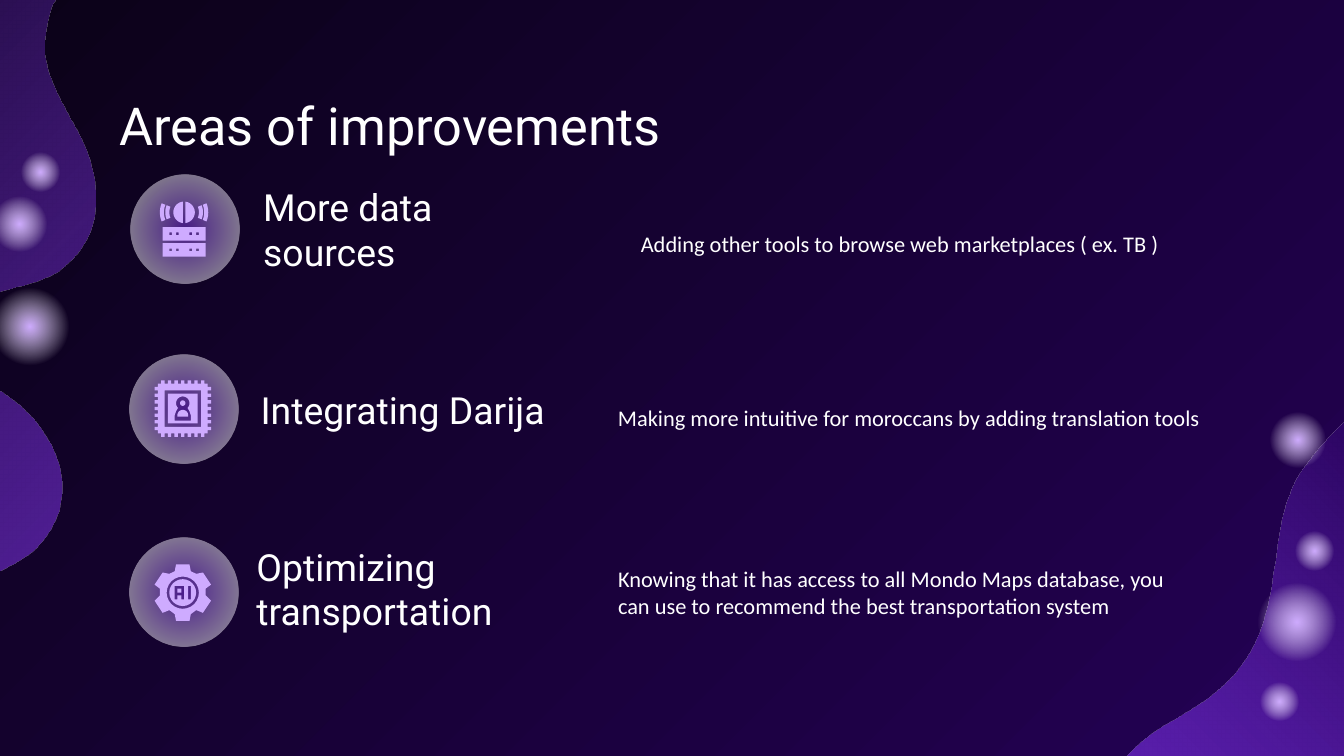
import math

from lxml import etree
from pptx import Presentation
from pptx import util as u
from pptx.dml.color import RGBColor
from pptx.enum import shapes, text
from pptx.oxml.ns import qn

NIGHT = RGBColor(0x0B, 0x02, 0x18)
INDIGO = RGBColor(0x24, 0x01, 0x55)
VIOLET = RGBColor(0x81, 0x34, 0xEC)
LILAC = RGBColor(0xCE, 0xAB, 0xFF)
WHITE = RGBColor(0xFF, 0xFF, 0xFF)


def paint_gradient(owner, fill, stops, angle=None):
    """Fill with (position %, colour, opacity %) stops; radial without an angle."""
    fill.gradient()
    gradient = owner.element.xpath(".//a:gradFill")[0]
    for child in list(gradient):
        gradient.remove(child)
    gradient.set("rotWithShape", "1")
    stop_list = etree.SubElement(gradient, qn("a:gsLst"))
    for position, color, opacity in stops:
        stop = etree.SubElement(stop_list, qn("a:gs"), pos=str(position * 1000))
        shade = etree.SubElement(stop, qn("a:srgbClr"), val=str(color))
        if opacity < 100:
            etree.SubElement(shade, qn("a:alpha"), val=str(opacity * 1000))
    if angle is None:
        radial = etree.SubElement(gradient, qn("a:path"), path="circle")
        middle = dict.fromkeys("ltrb", "50000")
        etree.SubElement(radial, qn("a:fillToRect"), **middle)
    else:
        etree.SubElement(gradient, qn("a:lin"), ang=str(angle * 60000), scaled="0")


def arc(x, y, radius, start, end):
    """Points on a circle, in degrees clockwise from the right."""
    angles = [math.radians(start + (end - start) * i / 24) for i in range(25)]
    return [(x + radius * math.cos(a), y + radius * math.sin(a)) for a in angles]


deck = Presentation()
deck.slide_width = u.Inches(10)
deck.slide_height = u.Inches(10 * 9 / 16)
page = deck.slides.add_slide(deck.slide_layouts[5])
paint_gradient(page, page.background.fill, [(0, NIGHT, 100), (100, INDIGO, 100)], 45)

# Corner waves: start point, cubic curves, closing corners, gradient
waves = [
    ((0.38, 0.05),
     [(0.35, 0.15, 0.32, 0.29, 0.33, 0.4), (0.35, 0.57, 0.44, 0.73, 0.52, 0.88),
      (0.58, 0.99, 0.64, 1.09, 0.67, 1.21), (0.76, 1.5, 0.71, 1.78, 0.49, 1.97),
      (0.28, 2.17, -0.06, 2.09, -0.26, 2.34), (-0.48, 2.62, -0.1, 2.83, 0.09, 2.97),
      (0.31, 3.13, 0.51, 3.45, 0.45, 3.73), (0.43, 3.87, 0.34, 4.01, 0.24, 4.1),
      (0.12, 4.2, -0.02, 4.24, -0.13, 4.33), (-0.24, 4.41, -0.36, 4.55, -0.37, 4.7),
      (-0.39, 4.85, -0.34, 5.01, -0.32, 5.16), (-0.22, 5.78, -0.39, 6.46, -0.85, 6.86),
      (-0.91, 6.91, -1, 6.98, -1.07, 7)],
     [(-3.04, 0.63), (0.64, -0.4)],
     [(0, NIGHT, 100), (100, VIOLET, 70)], 45),
    ((10.4, 6.74),
     [(10.4, 6.37, 10.39, 5.99, 10.41, 5.62), (10.44, 5.23, 10.49, 4.85, 10.49, 4.45),
      (10.49, 4.17, 10.47, 3.89, 10.47, 3.61), (10.47, 3.47, 10.53, 3.06, 10.37, 2.98),
      (10.18, 2.89, 9.82, 3.32, 9.73, 3.44), (9.55, 3.67, 9.53, 3.9, 9.49, 4.17),
      (9.45, 4.46, 9.41, 4.72, 9.23, 4.96), (9.08, 5.16, 8.86, 5.28, 8.64, 5.41),
      (8.43, 5.54, 8.26, 5.74, 8.14, 5.97), (8.04, 6.17, 7.92, 6.45, 7.91, 6.67),
      (8.06, 6.7, 8.22, 6.68, 8.37, 6.68), (8.53, 6.69, 8.68, 6.74, 8.83, 6.74)],
     [],
     [(0, VIOLET, 70), (100, INDIGO, 100)], 315),
]
for start, curves, corners, stops, angle in waves:
    points = [start]
    for x1, y1, x2, y2, x3, y3 in curves:
        x0, y0 = points[-1]
        for step in range(1, 13):
            t = step / 12
            a, b, c, d = (1 - t) ** 3, 3 * t * (1 - t) ** 2, 3 * t * t * (1 - t), t ** 3
            points.append((a * x0 + b * x1 + c * x2 + d * x3,
                           a * y0 + b * y1 + c * y2 + d * y3))
    points = [(u.Inches(x), u.Inches(y)) for x, y in points + corners]
    builder = page.shapes.build_freeform(*points[0])
    builder.add_line_segments(points[1:])
    wave = builder.convert_to_shape()
    wave.shadow.inherit = False
    wave.line.fill.background()
    paint_gradient(wave, wave.fill, stops, angle)

# Glowing dots, then the discs behind the icons
glow = [(0, LILAC, 100), (57, WHITE, 0), (100, WHITE, 0)]
halo = [(0, VIOLET, 49), (77, WHITE, 49), (100, WHITE, 49)]
discs = [
    (9.29, 4.27, 0.72, glow), (9.6, 3.92, 0.36, glow), (9.34, 5.04, 0.36, glow),
    (9.4, 3.02, 0.51, glow), (-0.11, 1.41, 0.51, glow), (-0.14, 2.07, 0.72, glow),
    (0.12, 1.1, 0.36, glow),
    (0.97, 1.3, 0.81, halo), (0.96, 2.64, 0.81, halo), (0.96, 4, 0.81, halo),
]
for left, top, size, stops in discs:
    disc = page.shapes.add_shape(shapes.MSO_SHAPE.OVAL, u.Inches(left), u.Inches(top),
                                 u.Inches(size), u.Inches(size))
    disc.shadow.inherit = False
    disc.line.fill.background()
    paint_gradient(disc, disc.fill, stops)

# Icons: each part is (rectangles, outlines); a contour inside another is a hole
server = [([], [arc(1.37, 1.58, 0.08, side - 83, side + 83)]) for side in (0, 180)]
for side in (0, 180):
    for radius in (0.14, 0.18):
        server.append(([], [arc(1.37, 1.58, radius, side - 22, side + 22)
                            + arc(1.37, 1.58, radius - 0.03, side + 22, side - 22)]))
for top in (1.69, 1.81):
    lights = [(x, top + 0.04, x + 0.02, top + 0.06) for x in (1.26, 1.31, 1.41, 1.46)]
    server.append(([(1.21, top, 1.53, top + 0.1)] + lights, []))

# The chip sits on a grid of 17 by 17 cells
cells = [(1, 1, 16, 16), (3, 3, 14, 14), (4, 4, 13, 13)]
for pin in range(2, 15, 2):
    for edge in (0, 16):
        cells += [(pin, edge, pin + 1, edge + 1), (edge, pin, edge + 1, pin + 1)]
cell = 0.42 / 17
chip_boxes = [(1.15 + a * cell, 2.83 + b * cell, 1.15 + c * cell, 2.83 + d * cell)
              for a, b, c, d in cells]
person = ([(1.3, 3.13), (1.3, 3.09), (1.31, 3.06)] + arc(1.36, 3, 0.05, 135, 405)
          + [(1.41, 3.06), (1.42, 3.09), (1.42, 3.13)])
chip = [(chip_boxes, [person]), ([], [arc(1.36, 3, 0.02, 0, 360)]),
        ([], [[(1.32, 3.1)] + arc(1.36, 3.09, 0.04, 180, 360) + [(1.4, 3.1)]])]

gear_side = [(1.41, 4.2), (1.42, 4.25), (1.46, 4.27), (1.51, 4.26), (1.57, 4.35),
             (1.53, 4.38), (1.53, 4.43), (1.57, 4.47), (1.51, 4.56), (1.46, 4.54),
             (1.42, 4.57), (1.41, 4.62)]
gear_rim = gear_side + [(2.72 - x, y) for x, y in reversed(gear_side)]
letter_a = [(1.37, 4.46), (1.35, 4.46), (1.35, 4.43), (1.32, 4.43), (1.32, 4.46),
            (1.3, 4.46), (1.3, 4.36), (1.37, 4.36)]
gear = [([], [gear_rim, arc(1.36, 4.41, 0.12, 0, 360)]),
        ([(1.4, 4.36, 1.42, 4.46), (1.32, 4.38, 1.35, 4.41)],
         [arc(1.36, 4.41, 0.1, 0, 360), letter_a])]

for icon in (server, chip, gear):
    group = page.shapes.add_group_shape()
    for boxes, outlines in icon:
        contours = [[(a, b), (c, b), (c, d), (a, d)] for a, b, c, d in boxes] + outlines
        contours = [[(u.Inches(x), u.Inches(y)) for x, y in c] for c in contours]
        builder = group.shapes.build_freeform(*contours[0][0])
        builder.add_line_segments(contours[0][1:])
        for contour in contours[1:]:
            builder.move_to(*contour[0])
            builder.add_line_segments(contour[1:])
        part = builder.convert_to_shape()
        part.shadow.inherit = False
        part.fill.solid()
        part.fill.fore_color.rgb = LILAC
        part.line.fill.background()

# Wording: box, content, size, font
wording = [
    ((0.79, 0.59, 8.43, 0.63), "Areas of improvements", 28, "Roboto"),
    ((1.86, 1.36, 1.99, 0.69), "More data sources", 20, "Roboto"),
    ((4.5, 1.47, 4.8, 0.69),
     "Adding other tools to browse web marketplaces ( ex. TB )", 12, "Calibri"),
    ((1.84, 2.7, 2.32, 0.69), "Integrating Darija", 20, "Roboto"),
    ((4.5, 2.76, 4.86, 0.69),
     "Making more intuitive for moroccans by adding translation tools", 12, "Calibri"),
    ((1.81, 3.91, 2.77, 0.94), "Optimizing transportation", 20, "Roboto"),
    ((4.5, 4.06, 4.52, 0.69),
     "Knowing that it has access to all Mondo Maps database, you can use to "
     "recommend the best transportation system", 12, "Calibri"),
]
for place, content, size, font in wording:
    left, top, width, height = map(u.Inches, place)
    is_title = size == 28
    if is_title:
        box = page.shapes.title
        box.left, box.top, box.width, box.height = left, top, width, height
    else:
        box = page.shapes.add_textbox(left, top, width, height)
    frame = box.text_frame
    frame.word_wrap = True
    frame.auto_size = text.MSO_AUTO_SIZE.NONE
    frame.vertical_anchor = text.MSO_ANCHOR.TOP if is_title else text.MSO_ANCHOR.MIDDLE
    frame.margin_left = frame.margin_right = u.Inches(0.1)
    frame.margin_top = frame.margin_bottom = u.Inches(0.1)
    para = frame.paragraphs[0]
    para.alignment = text.PP_ALIGN.LEFT
    if content.startswith("Adding"):
        properties = para._p.get_or_add_pPr()
        properties.set("marL", str(u.Inches(0.5)))
        properties.set("indent", str(u.Inches(-0.33)))
    span = para.add_run()
    span.text = content
    span.font.size = u.Pt(size)
    span.font.name = font
    span.font.color.rgb = WHITE

deck.save("out.pptx")
